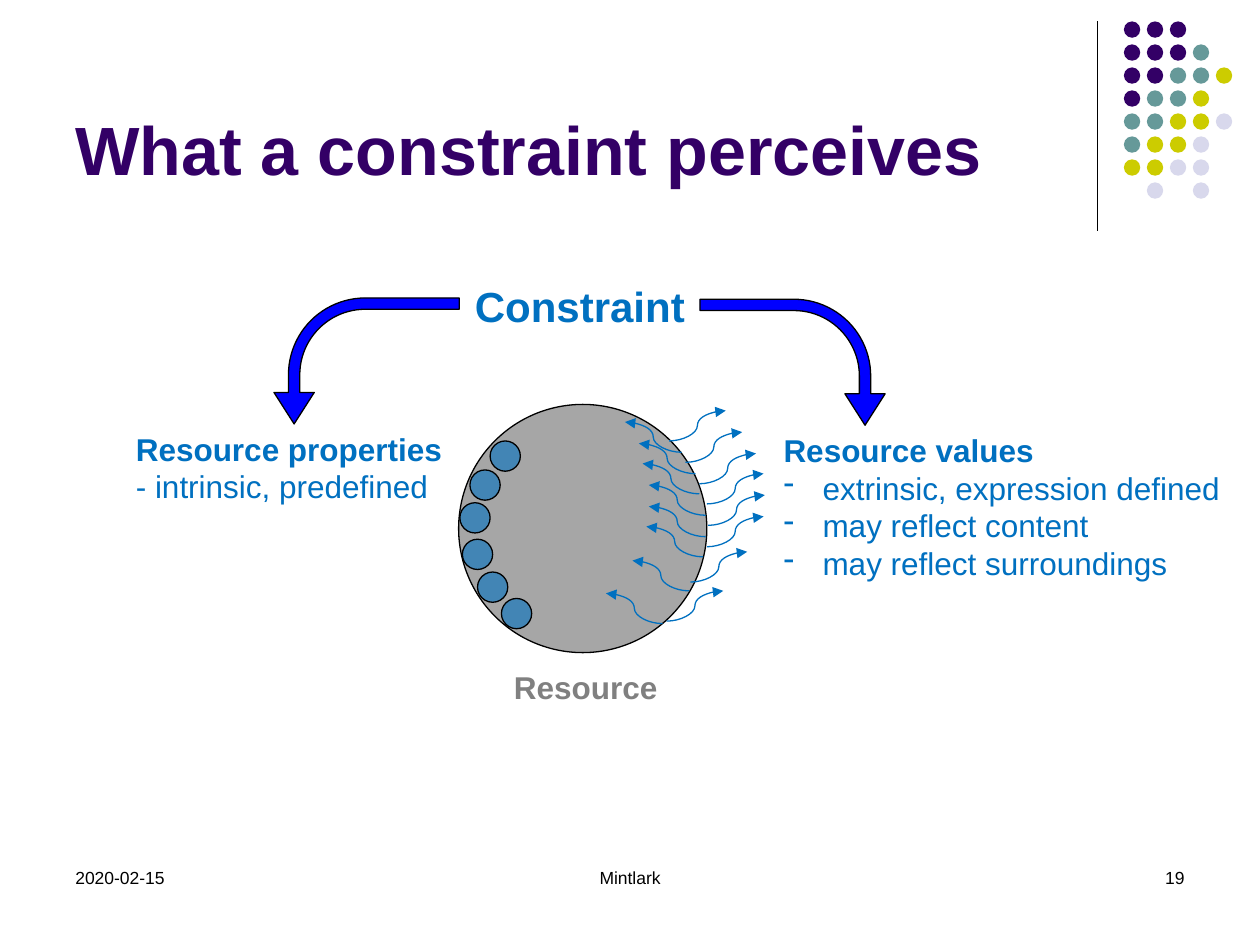
from pptx import Presentation
from pptx.dml.color import RGBColor
from pptx.enum.shapes import MSO_CONNECTOR, MSO_SHAPE
from pptx.enum.text import MSO_ANCHOR, MSO_AUTO_SIZE, PP_ALIGN
from pptx.oxml.ns import qn
from pptx.oxml.xmlchemy import OxmlElement
from pptx.util import Emu, Pt

OVAL, BENT_ARROW = MSO_SHAPE.OVAL, MSO_SHAPE.BENT_ARROW
STRAIGHT, CURVE = MSO_CONNECTOR.STRAIGHT, MSO_CONNECTOR.CURVE
TOP, BOTTOM = MSO_ANCHOR.TOP, MSO_ANCHOR.BOTTOM
LEFT, CENTER, RIGHT = PP_ALIGN.LEFT, PP_ALIGN.CENTER, PP_ALIGN.RIGHT
FIT_TEXT = MSO_AUTO_SIZE.SHAPE_TO_FIT_TEXT

EMU_PER_PX = 9144
BLACK, BLUE, PURPLE = "000000", "0070C0", "330066"
DOT_COLORS = {"P": PURPLE, "T": "669999", "Y": "CCCC00", "L": "D8D8EC"}
DOT_ROWS = ["PPP", "PPPT", "PPTTY", "PTTY", "TTYYL", "TYYL", "YYLL", " L L"]
DOT_PITCH = 18.25
PROPERTY_SPOTS = [(389, 350), (373, 373), (365, 399), (367, 428), (379, 454), (398, 475)]
OUTWARD_STARTS = [(531, 350), (544, 367), (555, 384), (561, 400),
                  (562, 417), (561, 434), (548, 462), (529, 493)]
INWARD_STARTS = [(541, 359), (552, 376), (555, 392), (560, 409),
                 (560, 426), (558, 442), (547, 469), (526, 495)]
WAVE_WIDTH, WAVE_HEIGHT = 45, 24


def px(length):
    return Emu(round(length * EMU_PER_PX))


def color(value):
    return RGBColor.from_string(value)


def add_child(parent, tag, **attributes):
    child = OxmlElement(tag)
    for name, value in attributes.items():
        child.set(name, value)
    parent.append(child)


def write(para, text, size=18, ink=BLUE, bold=False, align=LEFT, bullet=None, font="Arial"):
    para.alignment = align
    span = para.add_run()
    span.text = text
    span.font.name = font
    span.font.size = Pt(size)
    span.font.bold = bold
    span.font.color.rgb = color(ink)
    if bullet:
        properties = para._p.get_or_add_pPr()
        properties.set("marL", str(px(31)))
        properties.set("indent", str(px(-31)))
        add_child(properties, "a:buChar", char=bullet)


class Page:
    line_width = Pt(0.75)

    def __init__(self, deck):
        self.shapes = deck.slides.add_slide(deck.slide_layouts[6]).shapes

    def shape(self, kind, left, top, width, height, fill, line=BLACK, alpha=None):
        shape = self.shapes.add_shape(kind, px(left), px(top), px(width), px(height))
        shape.shadow.inherit = False
        shape.fill.solid()
        shape.fill.fore_color.rgb = color(fill)
        if alpha:
            tint = shape.element.spPr.find(qn("a:solidFill"))[0]
            add_child(tint, "a:alpha", val=str(alpha * 1000))
        if line:
            shape.line.color.rgb = color(line)
            shape.line.width = self.line_width
        else:
            shape.line.fill.background()
        return shape

    def bent_arrow(self, left, top, rotation, flipped=False):
        arrow = self.shape(BENT_ARROW, left, top, 100, 147, "0000FF")
        arrow.rotation = rotation
        for index, value in enumerate([0.09, 0.16, 0.25, 0.61]):
            arrow.adjustments[index] = value
        if flipped:
            arrow.element.spPr.find(qn("a:xfrm")).set("flipH", "1")

    def line(self, kind, start, end, ink, arrow=False):
        link = self.shapes.add_connector(kind, *map(px, start + end))
        link.line.color.rgb = color(ink)
        link.line.width = self.line_width
        properties = link.element.spPr
        if arrow:
            add_child(properties.find(qn("a:ln")), "a:tailEnd", type="triangle")
        add_child(properties, "a:effectLst")

    def text(self, left, top, width, height, *lines, anchor=TOP, wrap=False, **style):
        box = self.shapes.add_textbox(px(left), px(top), px(width), px(height))
        frame = box.text_frame
        frame.word_wrap = wrap
        frame.vertical_anchor = anchor
        if not wrap:
            frame.auto_size = FIT_TEXT
        for index, line in enumerate(lines):
            para = frame.add_paragraph() if index else frame.paragraphs[0]
            text, extra = line if isinstance(line, tuple) else (line, {})
            write(para, text, **{**style, **extra})


def main():
    deck = Presentation()
    deck.slide_width, deck.slide_height = px(1000), px(750)
    page = Page(deck)

    page.line(STRAIGHT, (871, 17), (871, 183), BLACK)
    for row, codes in enumerate(DOT_ROWS):
        for column, code in enumerate(codes):
            if code in DOT_COLORS:
                page.shape(OVAL, 892 + column * DOT_PITCH, 17 + row * DOT_PITCH,
                           13, 13, DOT_COLORS[code], line=None)

    page.text(50, 13, 825, 142, "What a constraint perceives",
              anchor=BOTTOM, wrap=True, size=39, ink=PURPLE, bold=True)
    for left, width, text, align in [(50, 233, "2020-02-15", LEFT),
                                     (319, 362, "Mintlark", CENTER),
                                     (717, 233, "19", RIGHT)]:
        page.text(left, 683, width, 50, text, wrap=True, size=10, ink=BLACK, align=align)

    page.shape(OVAL, 364, 321, 197, 197, "A6A6A6")
    for left, top in PROPERTY_SPOTS:
        page.shape(OVAL, left, top, 24, 24, BLUE, alpha=60)
    for starts, reach in [(OUTWARD_STARTS, WAVE_WIDTH), (INWARD_STARTS, -WAVE_WIDTH)]:
        for x, y in starts:
            page.line(CURVE, (x, y), (x + reach, y - WAVE_HEIGHT), BLUE, arrow=True)

    heading, item = {"bold": True}, {"bullet": "-"}
    page.text(98, 336, 266, 71, ("Resource properties", heading), "- intrinsic, predefined")
    page.text(612, 337, 372, 131, ("Resource values", heading),
              ("extrinsic, expression defined", item),
              ("may reflect content", item),
              ("may reflect surroundings", item))
    page.text(398, 525, 135, 40, "Resource", ink="808080", bold=True)
    page.text(367, 218, 188, 50, "Constraint", size=24, bold=True)
    page.bent_arrow(241, 213, 270, flipped=True)
    page.bent_arrow(579, 214, 90)

    deck.save("out.pptx")


if __name__ == "__main__":
    main()
